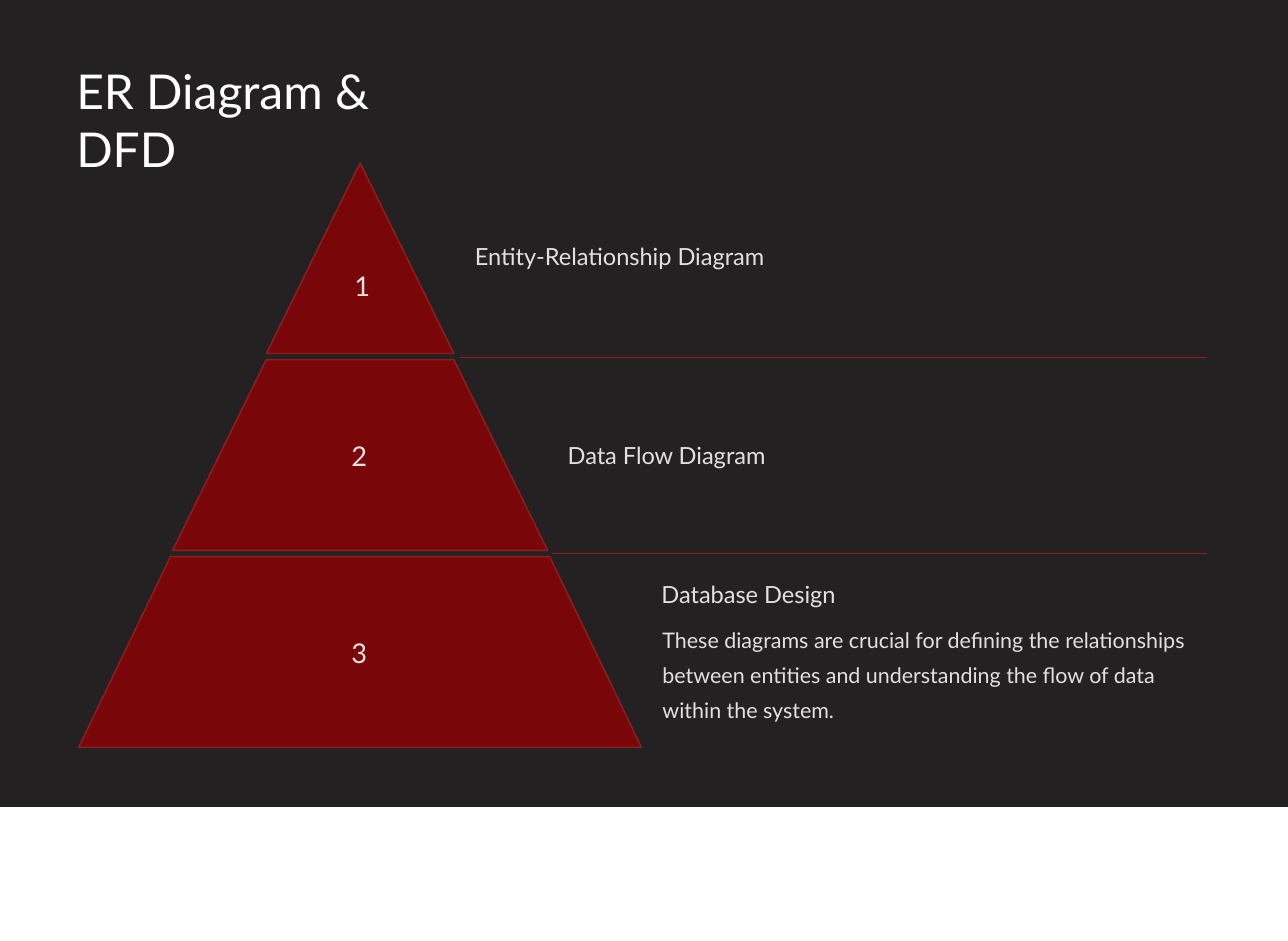
from pptx import Presentation
from pptx.dml.color import RGBColor
from pptx.enum.shapes import MSO_CONNECTOR, MSO_SHAPE
from pptx.enum.text import MSO_ANCHOR, MSO_AUTO_SIZE, PP_ALIGN
from pptx.oxml.ns import qn
from pptx.util import Inches, Pt
from lxml import etree

RECTANGLE = MSO_SHAPE.RECTANGLE
STRAIGHT = MSO_CONNECTOR.STRAIGHT
TOP = MSO_ANCHOR.TOP
NO_FIT = MSO_AUTO_SIZE.NONE
LEFT = PP_ALIGN.LEFT

WHITE = RGBColor(0xFF, 0xFF, 0xFF)
BACKDROP = RGBColor(0x18, 0x16, 0x17)
DEEP_RED = RGBColor(0x79, 0x07, 0x09)
EDGE_RED = RGBColor(0x91, 0x1F, 0x21)
PALE = RGBColor(0xE5, 0xE0, 0xDF)

FONT = "Lato"
CENTRE = 3.495
APEX = 1.58
TIER_HEIGHT = 1.85
TIER_STEP = 1.91
RULE_RIGHT = 11.71
TIER_HALF_WIDTHS = [(0, 0.91), (0.91, 1.82), (1.84, 2.73)]
NUMBERS = [("1", 3.44, 2.59), ("2", 3.41, 4.24), ("3", 3.41, 6.15)]
LABELS = [
    ("Entity-Relationship Diagram", 4.61, 2.33),
    ("Data Flow Diagram", 5.51, 4.26),
    ("Database Design", 6.42, 5.61),
]
RULES = [(4.46, 3.47), (5.36, 5.37)]
SUMMARY = (
    "These diagrams are crucial for defining the relationships "
    "between entities and understanding the flow of data within the system."
)


def write(box, text, size, color, line_spacing=1.0):
    frame = box.text_frame
    frame.word_wrap = True
    frame.auto_size = NO_FIT
    frame.vertical_anchor = TOP
    frame.margin_left = frame.margin_right = frame.margin_bottom = 0
    frame.margin_top = Inches(0.02)
    para = frame.paragraphs[0]
    para.alignment = LEFT
    para.line_spacing = line_spacing
    span = para.add_run()
    span.text = text
    span.font.name = FONT
    span.font.size = Pt(size)
    span.font.color.rgb = color


def add_title(page, text):
    title = page.shapes.title
    title.left, title.top = Inches(0.74), Inches(0.58)
    title.width, title.height = Inches(3.74), Inches(1.15)
    write(title, text, 33.5, WHITE)


def add_text(page, text, left, top, width, height, size, line_spacing=1.0):
    box = page.shapes.add_textbox(
        Inches(left), Inches(top), Inches(width), Inches(height)
    )
    write(box, text, size, PALE, line_spacing)


def add_backdrop(page):
    panel = page.shapes.add_shape(RECTANGLE, 0, 0, Inches(12.5), Inches(7.83))
    panel.shadow.inherit = False
    panel.fill.solid()
    panel.fill.fore_color.rgb = BACKDROP
    panel.line.fill.background()
    color = panel.fill._xPr.find(qn("a:solidFill"))[0]
    etree.SubElement(color, qn("a:alpha"), val="95000")
    tree = page.shapes._spTree
    tree.remove(panel._element)
    tree.insert(2, panel._element)


def add_tier(page, top, upper, lower):
    bottom = top + TIER_HEIGHT
    corners = [(CENTRE + lower, bottom), (CENTRE - lower, bottom)]
    if upper:
        corners.append((CENTRE - upper, top))
    builder = page.shapes.build_freeform(Inches(CENTRE + upper), Inches(top))
    builder.add_line_segments([(Inches(x), Inches(y)) for x, y in corners])
    tier = builder.convert_to_shape()
    tier.shadow.inherit = False
    tier.fill.solid()
    tier.fill.fore_color.rgb = DEEP_RED
    tier.line.color.rgb = EDGE_RED
    tier.line.width = Pt(0.95)


def add_rule(page, left, y):
    rule = page.shapes.add_connector(
        STRAIGHT, Inches(left), Inches(y), Inches(RULE_RIGHT), Inches(y)
    )
    rule.line.color.rgb = EDGE_RED
    rule.line.width = Pt(1.1)
    etree.SubElement(rule._element.spPr, qn("a:effectLst"))


def main():
    deck = Presentation()
    deck.slide_width, deck.slide_height = Inches(12.5), Inches(9.13)
    page = deck.slides.add_slide(deck.slide_layouts[5])
    add_backdrop(page)
    add_title(page, "ER Diagram & DFD")
    for index, (upper, lower) in enumerate(TIER_HALF_WIDTHS):
        add_tier(page, APEX + index * TIER_STEP, upper, lower)
    for left, y in RULES:
        add_rule(page, left, y)
    for number, left, top in NUMBERS:
        add_text(page, number, left, top, 0.18, 0.34, 19)
    for label, left, top in LABELS:
        add_text(page, label, left, top, 3, 0.31, 16.5)
    add_text(page, SUMMARY, 6.43, 5.98, 5.14, 1.04, 15, 1.35)
    deck.save("out.pptx")


if __name__ == "__main__":
    main()
